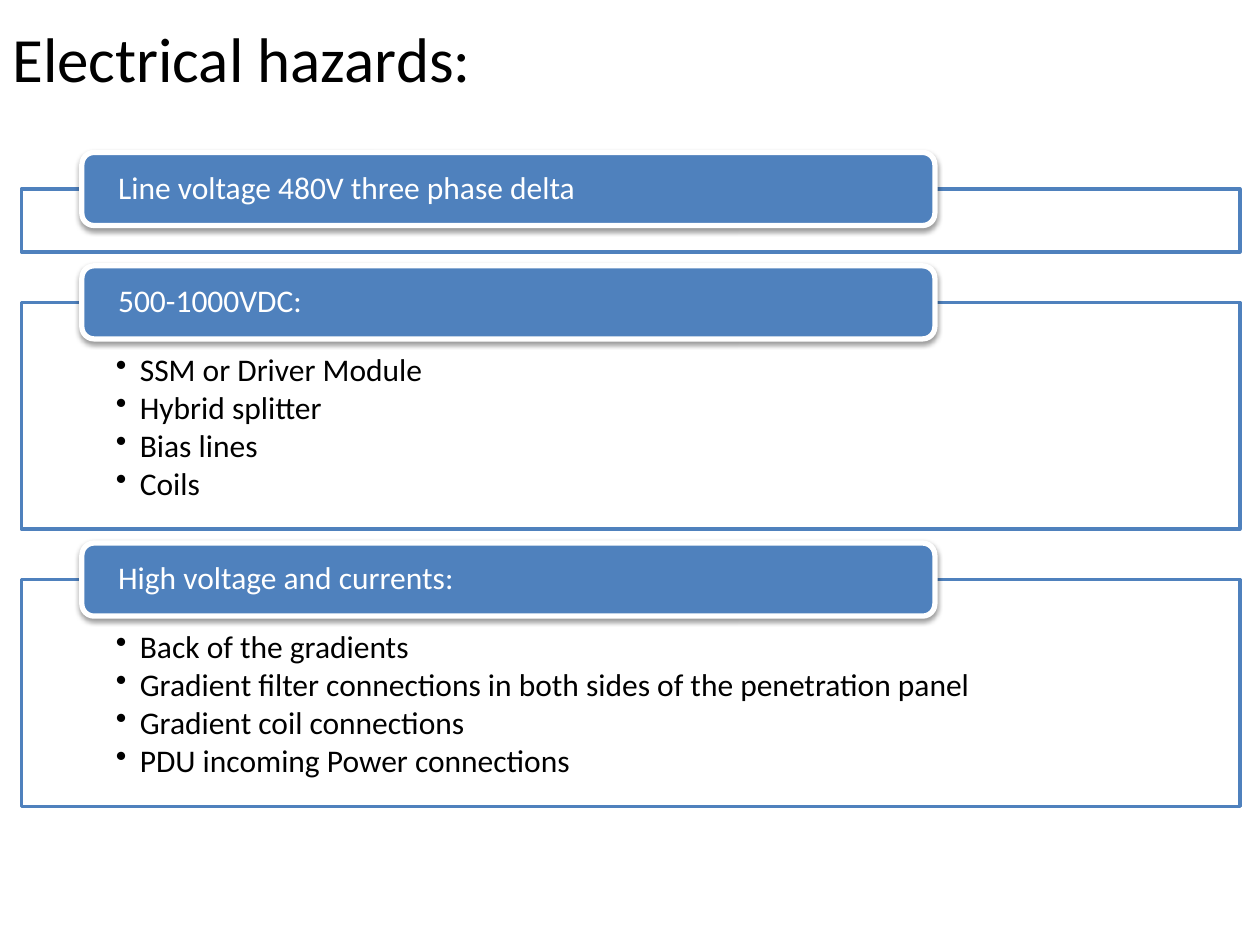
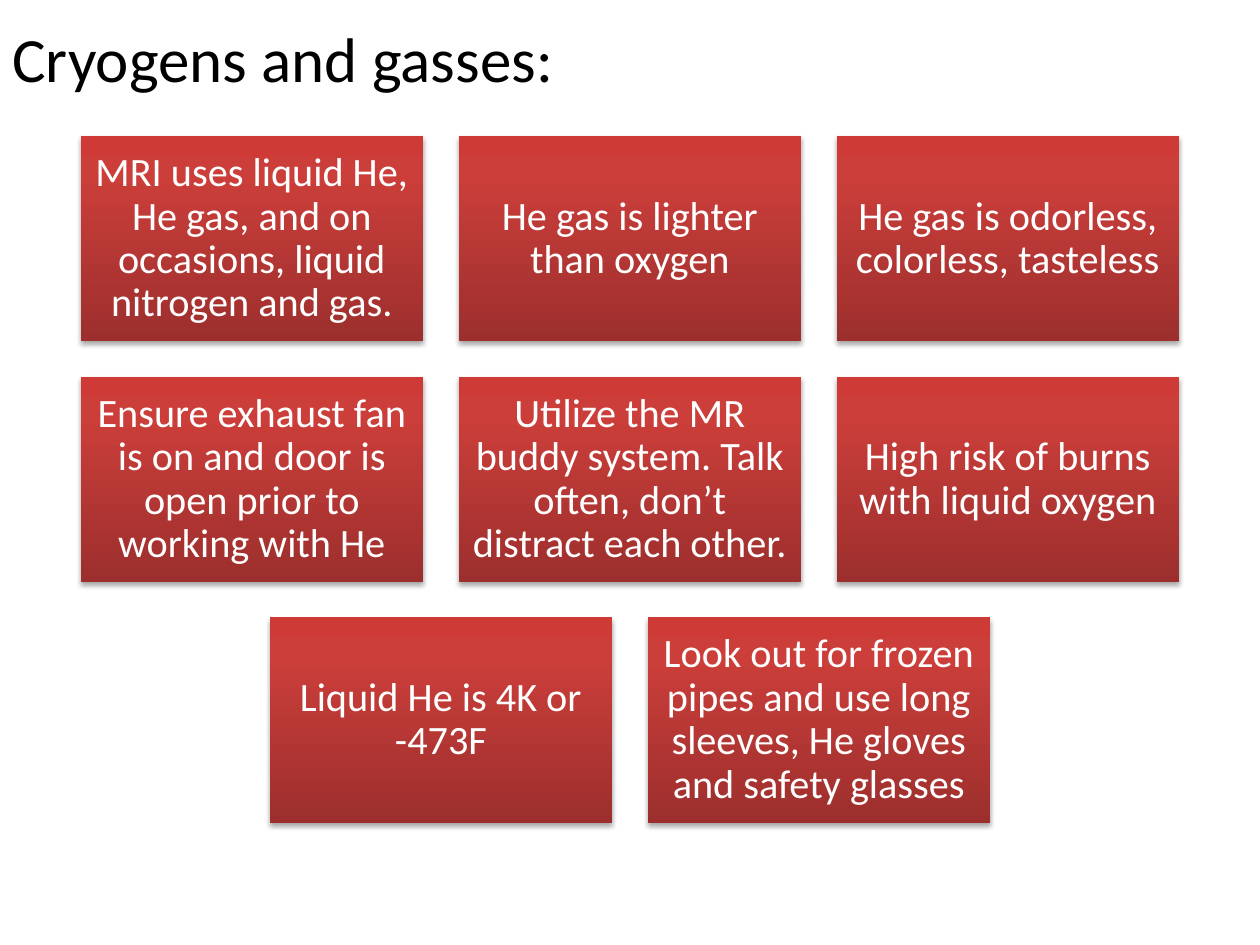
from lxml.etree import SubElement
from pptx import Presentation
from pptx.dml.color import RGBColor
from pptx.enum.shapes import MSO_SHAPE
from pptx.enum.text import MSO_ANCHOR, PP_ALIGN
from pptx.oxml import parse_xml
from pptx.oxml.ns import nsdecls, qn
from pptx.util import Inches, Pt

HAZARDS = [
    ("Line voltage 480V three phase delta", 0.5, []),
    ("500-1000VDC:", 1.8, [
        "SSM or Driver Module",
        "Hybrid splitter",
        "Bias lines",
        "Coils",
    ]),
    ("High voltage and currents:", 1.8, [
        "Back of the gradients",
        "Gradient filter connections in both sides of the penetration panel",
        "Gradient coil connections",
        "PDU incoming Power connections",
    ]),
]
GAS_ROWS = [
    [
        "MRI uses liquid He, He gas, and on occasions, liquid nitrogen and gas.",
        "He gas is lighter than oxygen",
        "He gas is odorless, colorless, tasteless",
    ],
    [
        "Ensure exhaust fan is on and door is open prior to working with He",
        "Utilize the MR buddy system. Talk often, don’t distract each other.",
        "High risk of burns with liquid oxygen",
    ],
    [
        "Liquid He is 4K or\v-473F",
        "Look out for frozen pipes and use long sleeves, He gloves and safety glasses",
    ],
]

FONT = "Calibri"
BLACK = RGBColor(0x00, 0x00, 0x00)
WHITE = RGBColor(0xFF, 0xFF, 0xFF)
BLUE = RGBColor(0x4F, 0x81, 0xBD)
RED_STOPS = [
    (0, RGBColor(0x9C, 0x2F, 0x2D)),
    (80, RGBColor(0xCB, 0x3E, 0x3A)),
    (100, RGBColor(0xCE, 0x3B, 0x37)),
]

SLIDE_WIDTH = 10
PANEL_LEFT, PANEL_WIDTH, PANEL_TOP, PANEL_GAP = 0.17, 9.67, 1.5, 0.4
HEADER_LEFT, HEADER_WIDTH, HEADER_HEIGHT = 0.65, 6.77, 0.58
CARD_WIDTH, CARD_HEIGHT, CARD_GAP, CARD_TOP = 2.72, 1.63, 0.28, 1.08


def write(box, paragraphs, size=18, color=BLACK, align=PP_ALIGN.LEFT,
          anchor=MSO_ANCHOR.MIDDLE, insets=(0.1, 0.05, 0.1, 0.05),
          spacing=0.9, after=0, bullet=False):
    frame = box.text_frame
    frame.word_wrap = True
    frame.vertical_anchor = anchor
    (frame.margin_left, frame.margin_top,
     frame.margin_right, frame.margin_bottom) = map(Inches, insets)
    frame.text = "\n".join(paragraphs)
    for paragraph in frame.paragraphs:
        paragraph.alignment = align
        paragraph.line_spacing = spacing
        paragraph.space_after = Pt(after)
        if bullet:
            properties = paragraph._p.get_or_add_pPr()
            properties.set("marL", str(Inches(0.19)))
            properties.set("indent", str(-Inches(0.19)))
            SubElement(properties, qn("a:buChar"), char="•")
        for span in paragraph.runs:
            span.font.name = FONT
            span.font.size = Pt(size)
            span.font.color.rgb = color


def add_box(page, kind, left, top, width, height, fill=None, line=None, line_width=0):
    box = page.shapes.add_shape(kind, *map(Inches, (left, top, width, height)))
    box.shadow.inherit = False
    if fill is not None:
        box.fill.solid()
        box.fill.fore_color.rgb = fill
    if line is None:
        box.line.fill.background()
    else:
        box.line.color.rgb = line
        box.line.width = Pt(line_width)
    return box


def add_shadow(box, opacity, distance):
    effects = box._element.spPr.find(qn("a:effectLst"))
    effects.append(parse_xml(
        f'<a:outerShdw {nsdecls("a")} blurRad="{Pt(3.1)}" dist="{Pt(distance)}" '
        f'dir="5400000" rotWithShape="0"><a:srgbClr val="{BLACK}">'
        f'<a:alpha val="{opacity * 1000}"/></a:srgbClr></a:outerShdw>'))


def fill_gradient(box, stops):
    box.fill.gradient()
    gradient = box._element.spPr.find(qn("a:gradFill"))
    marks = "".join(f'<a:gs pos="{position * 1000}"><a:srgbClr val="{color}"/></a:gs>'
                    for position, color in stops)
    gradient.getparent().replace(gradient, parse_xml(
        f'<a:gradFill {nsdecls("a")} rotWithShape="1"><a:gsLst>{marks}</a:gsLst>'
        '<a:lin ang="16200000" scaled="0"/></a:gradFill>'))


def add_page(deck, title):
    page = deck.slides.add_slide(deck.slide_layouts[6])
    box = page.shapes.add_textbox(0, Inches(0.08), Inches(SLIDE_WIDTH), Inches(0.75))
    write(box, [title], size=36, spacing=1.0)
    return page


def build_hazards(deck):
    page = add_page(deck, "Electrical hazards:")
    top = PANEL_TOP
    for heading, height, items in HAZARDS:
        panel = add_box(page, MSO_SHAPE.RECTANGLE, PANEL_LEFT, top, PANEL_WIDTH, height,
                        fill=WHITE, line=BLUE, line_width=2)
        if items:
            write(panel, items, anchor=MSO_ANCHOR.TOP, after=2.3, bullet=True,
                  insets=(0.75, 0.41, 0.75, 0.14))
        header = add_box(page, MSO_SHAPE.ROUNDED_RECTANGLE, HEADER_LEFT,
                         top - HEADER_HEIGHT / 2, HEADER_WIDTH, HEADER_HEIGHT,
                         fill=BLUE, line=WHITE, line_width=3)
        add_shadow(header, opacity=38, distance=1.6)
        write(header, [heading], color=WHITE, insets=(0.26, 0, 0.26, 0))
        top += height + PANEL_GAP


def build_gases(deck):
    page = add_page(deck, "Cryogens and gasses:")
    for row, cards in enumerate(GAS_ROWS):
        row_width = len(cards) * (CARD_WIDTH + CARD_GAP) - CARD_GAP
        row_left = (SLIDE_WIDTH - row_width) / 2
        for column, text in enumerate(cards):
            card = add_box(page, MSO_SHAPE.RECTANGLE,
                           row_left + column * (CARD_WIDTH + CARD_GAP),
                           CARD_TOP + row * (CARD_HEIGHT + CARD_GAP),
                           CARD_WIDTH, CARD_HEIGHT)
            fill_gradient(card, RED_STOPS)
            add_shadow(card, opacity=35, distance=1.8)
            write(card, [text], size=23, color=WHITE, align=PP_ALIGN.CENTER,
                  insets=(0.1, 0.1, 0.1, 0.1))


def main():
    deck = Presentation()
    deck.slide_width = Inches(SLIDE_WIDTH)
    deck.slide_height = Inches(7.5)
    build_hazards(deck)
    build_gases(deck)
    deck.save("out.pptx")


if __name__ == "__main__":
    main()
